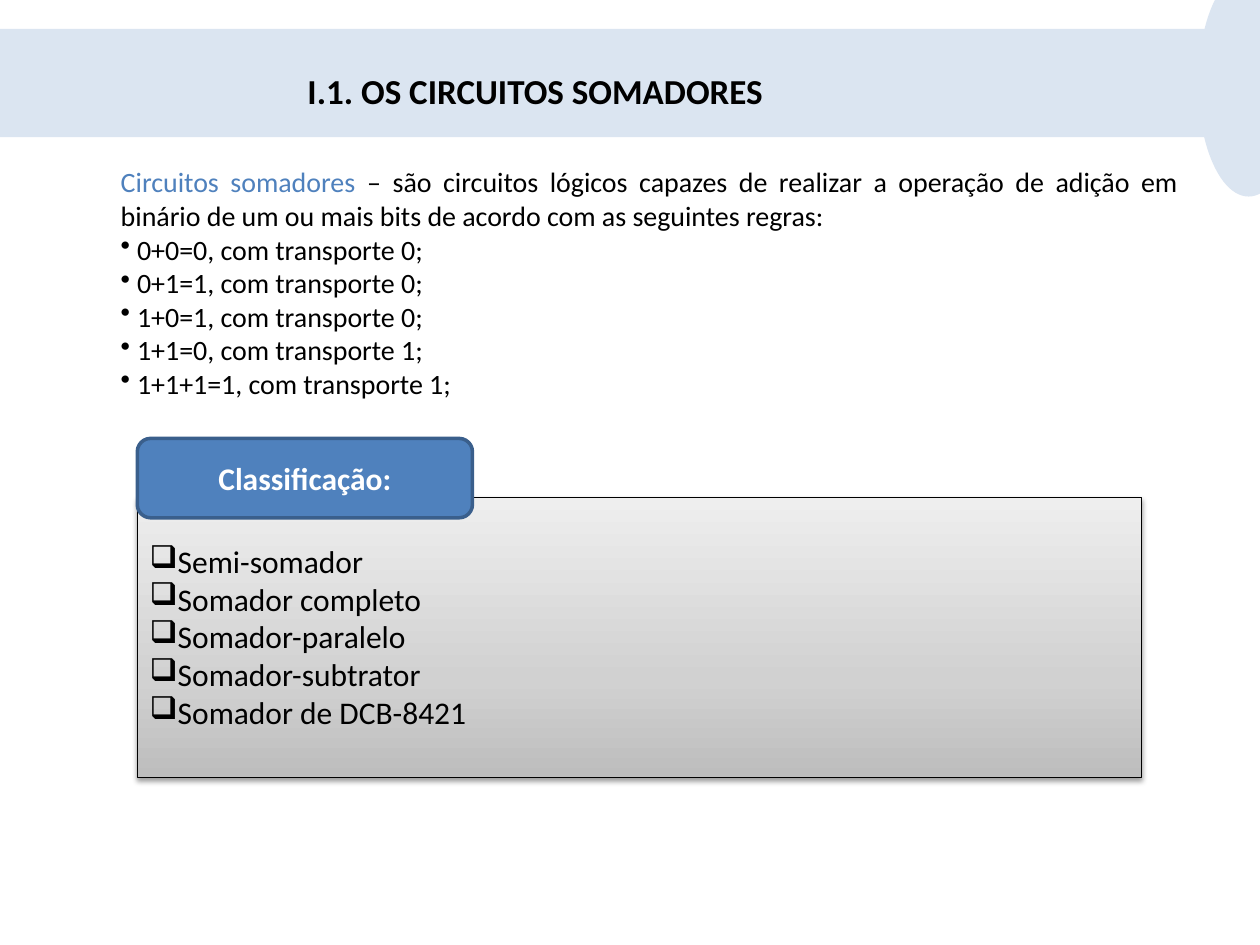
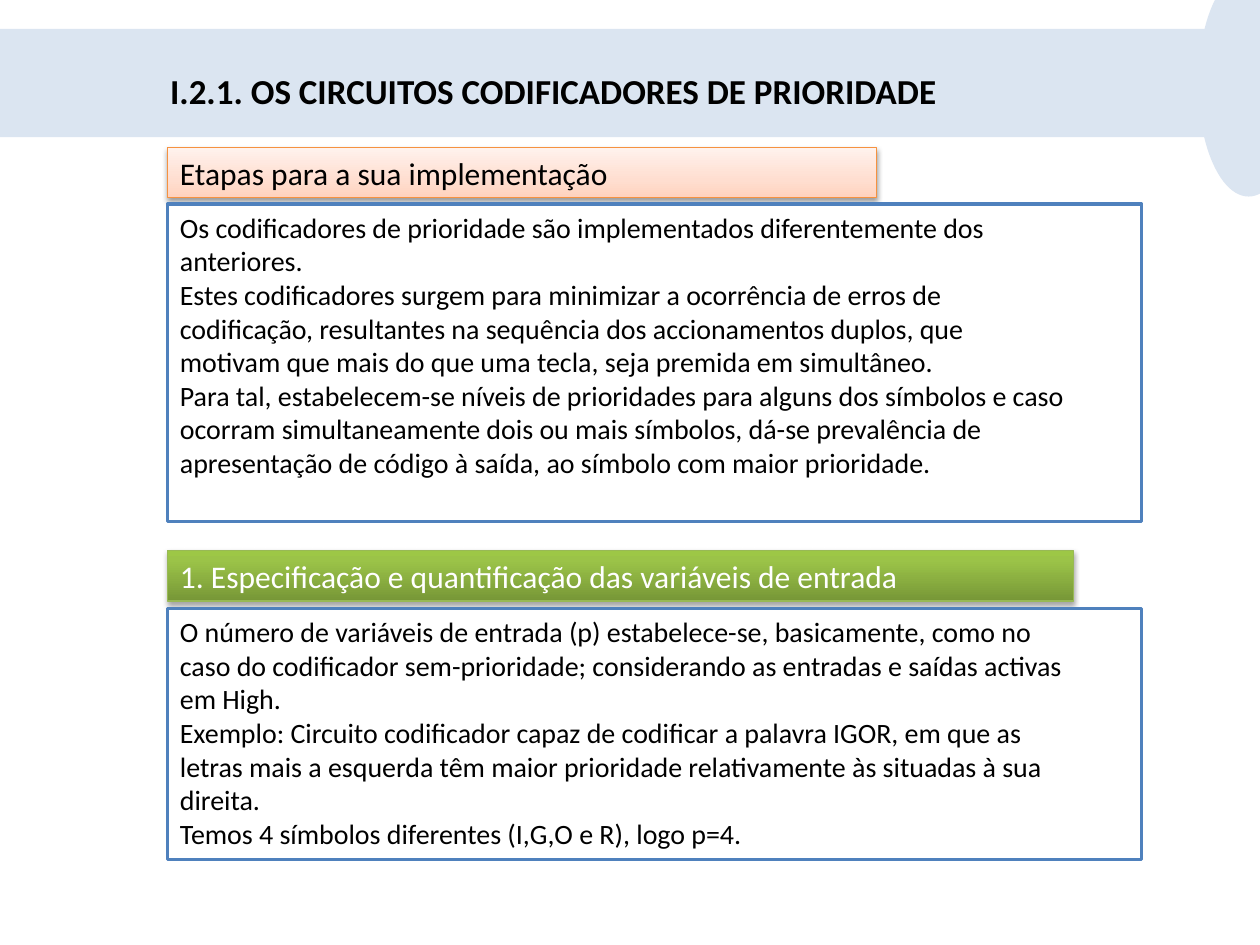
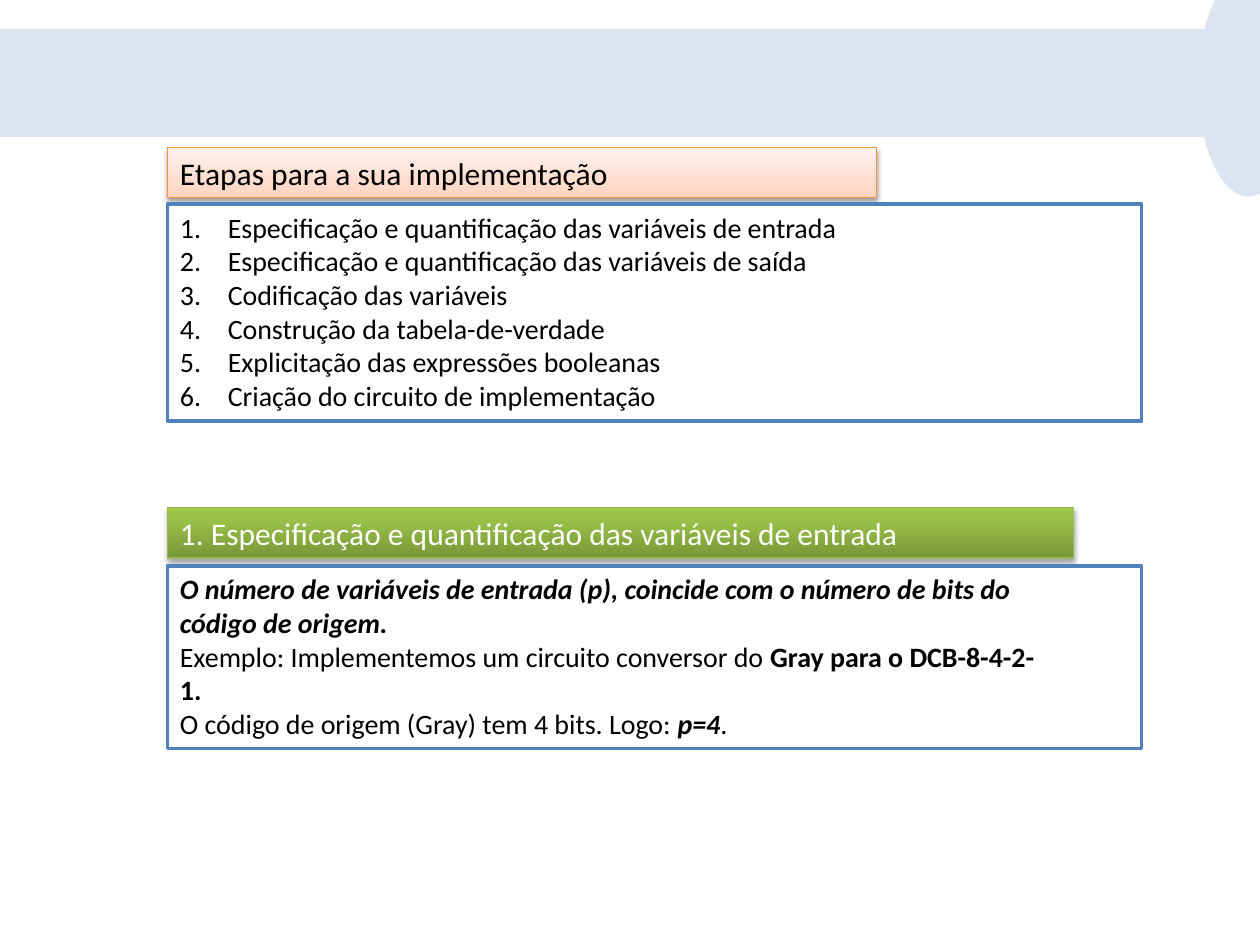
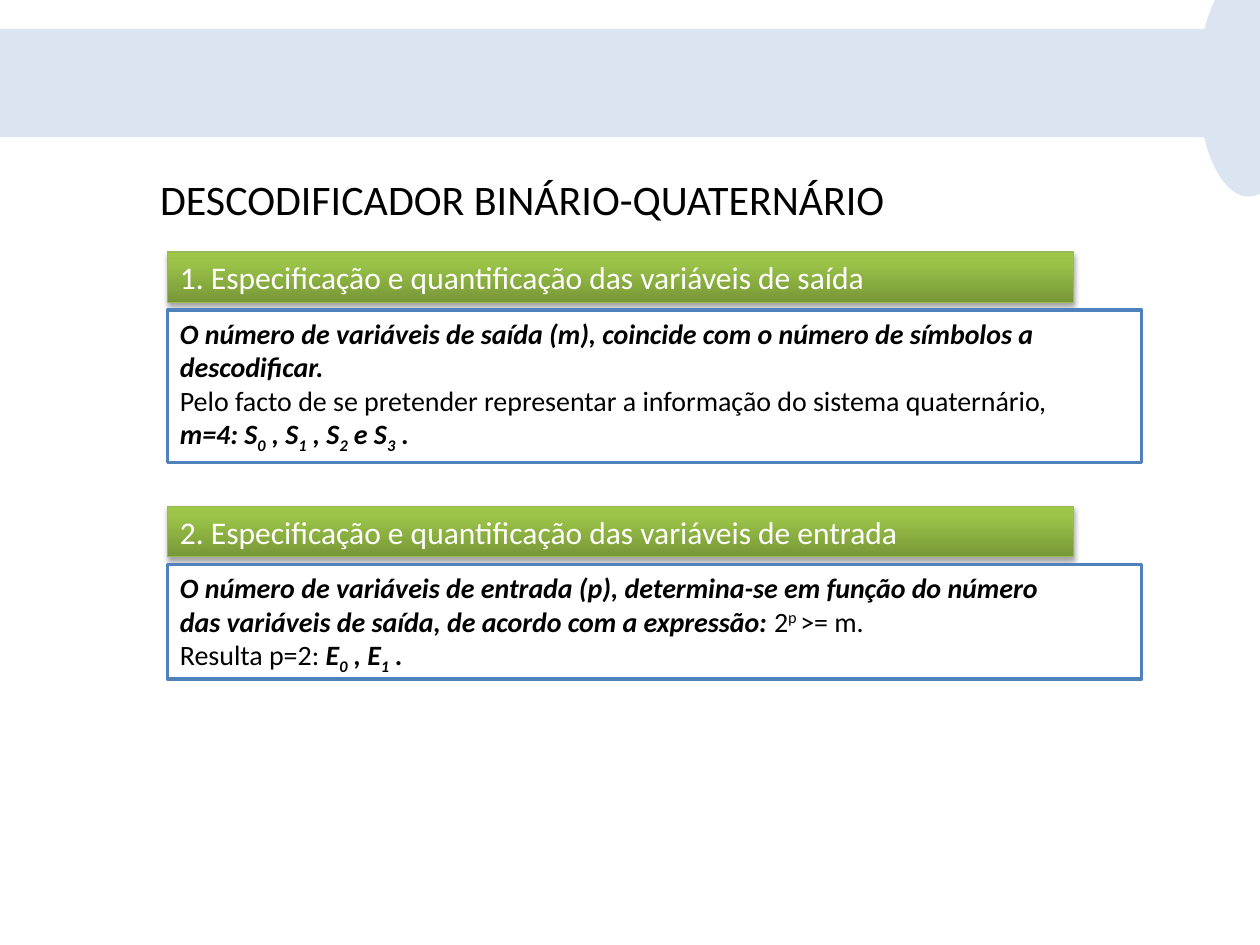
"""Builds four lecture slides on adder, encoder and decoder circuits."""
from dataclasses import dataclass
from typing import NamedTuple, Union

from lxml import etree
from pptx import Presentation
from pptx import util as u
from pptx.dml import color as c
from pptx.enum import shapes, text
from pptx.oxml import ns

COLORS = {
    "band": "DBE5F1", "blue": "4F81BD", "navy": "3A5F8C", "black": "000000",
    "white": "FFFFFF", "orange": "F69240", "green": "98B955",
}
FONT = "Calibri"
TITLE_ONLY, BLANK = 5, 6
HANG = 0.38
LEFT, PANEL_WIDTH = 1.33, 7.73
HEADER_HEIGHT, HEADER_STEP = 0.4, 0.46


class Frame(NamedTuple):
    """Position and size in inches."""
    left: float
    top: float
    width: float
    height: float

    def lengths(self) -> list:
        """Return the four measures as lengths."""
        return [u.Inches(value) for value in self]


class Span(NamedTuple):
    """A stretch of text with its own emphasis; baseline is in percent."""
    words: str
    bold: bool = False
    italic: bool = False
    baseline: int = 0


class Shadow(NamedTuple):
    """A shadow straight below: opacity in percent, blur and distance in points."""
    opacity: int
    blur: float
    distance: float


Line = Union[str, list[Span]]


@dataclass(frozen=True)
class Look:
    """How a box is filled, outlined and lettered."""
    fill: str = ""
    stops: tuple = ()
    line: str = ""
    line_width: float = 0.75
    shadow: Union[Shadow, None] = None
    size: int = 16
    color: str = "black"
    bold: bool = False
    align: text.PP_ALIGN = text.PP_ALIGN.LEFT
    anchor: text.MSO_ANCHOR = text.MSO_ANCHOR.TOP
    hang: float = 0
    bullet: str = ""
    margin_top: float = 0.05


JUSTIFY = text.PP_ALIGN.JUSTIFY
BAND = Look(fill="band")
TITLE = Look(size=20, bold=True)
SUBTITLE = Look(size=24)
INTRO = Look(align=JUSTIFY)
RULES = Look(align=JUSTIFY, hang=0.13, bullet="•")
KINDS = Look(stops=((0, "BDBDBD"), (35, "D1D1D1"), (100, "EEEEEE")), line="black",
             shadow=Shadow(38, 3.1, 1.6), size=18, hang=0.22, bullet="❑", margin_top=0.35)
TAG = Look(fill="blue", line="navy", line_width=2, size=18, color="white", bold=True,
           align=text.PP_ALIGN.CENTER, anchor=text.MSO_ANCHOR.MIDDLE)
STAGES = Look(stops=((0, "FFD2BD"), (35, "FFDED0"), (100, "FFF2ED")), line="orange",
              shadow=Shadow(38, 3.1, 1.6), size=18)
STEP = Look(stops=((0, "779737"), (80, "9BC348"), (100, "9DC746")), line="green",
            shadow=Shadow(35, 3.1, 1.8), size=18, color="white", hang=HANG)
PANEL = Look(fill="white", line="blue", line_width=2, align=JUSTIFY, hang=HANG)
NUMBERED = Look(fill="white", line="blue", line_width=2, hang=HANG, bullet="1.")


def rgb(name: str) -> c.RGBColor:
    """Look up a named colour."""
    return c.RGBColor.from_string(COLORS[name])


def add_xml(parent, tag: str, **attributes):
    """Append a drawing element with the given attributes."""
    values = {key: str(value) for key, value in attributes.items()}
    return etree.SubElement(parent, ns.qn(f"a:{tag}"), values)


def paint(box, look: Look) -> None:
    """Apply fill, outline and shadow to a shape."""
    if look.stops:
        box.fill.gradient()
        box.fill.gradient_angle = 90
        stop_list = box.element.spPr.find(".//" + ns.qn("a:gsLst"))
        for stop in list(stop_list):
            stop_list.remove(stop)
        for position, value in look.stops:
            add_xml(add_xml(stop_list, "gs", pos=position * 1000), "srgbClr", val=value)
    else:
        box.fill.solid()
        box.fill.fore_color.rgb = rgb(look.fill)
    if look.line:
        box.line.color.rgb = rgb(look.line)
        box.line.width = u.Pt(look.line_width)
    else:
        box.line.fill.background()
    box.shadow.inherit = False
    if look.shadow:
        effects = box.element.spPr.find(ns.qn("a:effectLst"))
        outer = add_xml(effects, "outerShdw", blurRad=u.Pt(look.shadow.blur),
                        dist=u.Pt(look.shadow.distance), dir=90 * 60000, rotWithShape=0)
        tone = add_xml(outer, "srgbClr", val=COLORS["black"])
        add_xml(tone, "alpha", val=look.shadow.opacity * 1000)


def format_paragraph(para, look: Look) -> None:
    """Set font, alignment, hanging indent and bullet of a paragraph."""
    para.alignment = look.align
    para.font.name = FONT
    para.font.size = u.Pt(look.size)
    para.font.bold = look.bold
    para.font.color.rgb = rgb(look.color)
    properties = para._p.get_or_add_pPr()
    if look.hang:
        properties.set("marL", str(u.Inches(look.hang)))
        properties.set("indent", str(-u.Inches(look.hang)))
    if look.bullet:
        if look.bullet == "1.":
            bullet = add_xml(properties, "buAutoNum", type="arabicPeriod")
        else:
            bullet = add_xml(properties, "buChar", char=look.bullet)
        properties.find(ns.qn("a:defRPr")).addprevious(bullet)


def add_spans(para, line: Line) -> None:
    """Write a line, plain or made of spans, into a paragraph."""
    if isinstance(line, str):
        para.add_run().text = line
        return
    for span in line:
        run = para.add_run()
        run.text = span.words
        run.font.bold, run.font.italic = span.bold, span.italic
        if span.baseline:
            run.font._element.set("baseline", str(span.baseline * 1000))


def write(box, lines: list[Line], look: Look) -> None:
    """Fill an empty text frame with formatted lines."""
    frame = box.text_frame
    frame.word_wrap = True
    frame.auto_size = text.MSO_AUTO_SIZE.NONE
    frame.vertical_anchor = look.anchor
    frame.margin_left = frame.margin_right = u.Inches(0.1)
    frame.margin_top, frame.margin_bottom = u.Inches(look.margin_top), u.Inches(0.05)
    append_lines(frame, lines, look)


def append_lines(frame, lines: list[Line], look: Look) -> None:
    """Add lines to a frame, using its first paragraph while it is empty."""
    for line in lines:
        first = frame.paragraphs[0]
        para = frame.add_paragraph() if first.runs else first
        format_paragraph(para, look)
        add_spans(para, line)
        if not isinstance(line, str) or look.size:
            for run in para.runs:
                run.font.name, run.font.size = FONT, u.Pt(look.size)
                run.font.color.rgb = rgb(look.color)
                if isinstance(line, str):
                    run.font.bold = look.bold


def add_box(page, frame: Frame, look: Look, lines: list[Line] = (),
            kind=shapes.MSO_SHAPE.RECTANGLE):
    """Draw a painted shape with optional text."""
    box = page.shapes.add_shape(kind, *frame.lengths())
    paint(box, look)
    if lines:
        write(box, lines, look)
    return box


def add_page(deck, title: str = "", frame: Frame = None, look: Look = TITLE):
    """Add a slide with the shared band and, if given, a title above it."""
    page = deck.slides.add_slide(deck.slide_layouts[TITLE_ONLY if title else BLANK])
    add_box(page, Frame(0, 0.23, 9.69, 0.86), BAND)
    disc = add_box(page, Frame(9.51, -0.23, 0.8, 1.79), BAND, kind=shapes.MSO_SHAPE.OVAL)
    if title:
        heading = page.shapes.title
        heading.left, heading.top, heading.width, heading.height = frame.lengths()
        write(heading, [title], look)
        disc.element.addnext(heading.element)
    return page


def add_stages(page, height: float, lines: list[Line], look: Look) -> None:
    """Draw the implementation stages header and its panel."""
    add_box(page, Frame(LEFT, 1.17, 5.63, HEADER_HEIGHT), STAGES,
            ["Etapas para a sua implementação"])
    add_box(page, Frame(LEFT, 1.62, PANEL_WIDTH, height), look, lines)


def add_step(page, top: float, header: str, height: float, lines: list[Line]) -> None:
    """Draw a green step header with its panel below."""
    add_box(page, Frame(LEFT, top, 7.19, HEADER_HEIGHT), STEP, [header])
    add_box(page, Frame(LEFT, top + HEADER_STEP, PANEL_WIDTH, height), PANEL, lines)


def strong(words: str, baseline: int = 0) -> Span:
    """Return a bold italic span."""
    return Span(words, True, True, baseline)


def indexed(letter: str, index: int) -> list[Span]:
    """Return a bold italic variable with its subscript."""
    return [strong(letter), strong(str(index), -25)]


def build_adders(deck) -> None:
    """Slide on adder circuits."""
    page = add_page(deck, "I.1. OS CIRCUITOS SOMADORES", Frame(2.34, 0.5, 5.23, 0.44))
    intro = page.shapes.add_textbox(*Frame(0.86, 1.26, 8.59, 3.2).lengths())
    write(intro, [[
        Span("Circuitos somadores "),
        Span("– são circuitos lógicos capazes de realizar a operação de adição em binário "
             "de um ou mais bits de acordo com as seguintes regras:"),
    ]], INTRO)
    intro.text_frame.paragraphs[0].runs[0].font.color.rgb = rgb("blue")
    sums = [("0+0=0", 0), ("0+1=1", 0), ("1+0=1", 0), ("1+1=0", 1), ("1+1+1=1", 1)]
    append_lines(intro.text_frame,
                 [f"{total}, com transporte {carry};" for total, carry in sums], RULES)
    add_box(page, Frame(1.09, 3.95, 7.97, 2.22), KINDS, [
        "Semi-somador", "Somador completo", "Somador-paralelo", "Somador-subtrator",
        "Somador de DCB-8421",
    ])
    add_box(page, Frame(1.09, 3.48, 2.66, 0.63), TAG, ["Classificação:"],
            shapes.MSO_SHAPE.ROUNDED_RECTANGLE)


def build_priority_encoders(deck) -> None:
    """Slide on priority encoders."""
    page = add_page(deck, "I.2.1. OS CIRCUITOS CODIFICADORES DE PRIORIDADE",
                    Frame(1.25, 0.5, 7.97, 0.44))
    add_stages(page, 2.52, [
        "Os codificadores de prioridade são implementados diferentemente dos",
        "anteriores.",
        "Estes codificadores surgem para minimizar a ocorrência de erros de",
        "codificação, resultantes na sequência dos accionamentos duplos, que",
        "motivam que mais do que uma tecla, seja premida em simultâneo.",
        "Para tal, estabelecem-se níveis de prioridades para alguns dos símbolos e caso",
        "ocorram simultaneamente dois ou mais símbolos, dá-se prevalência de",
        "apresentação de código à saída, ao símbolo com maior prioridade.",
    ], PANEL)
    add_step(page, 4.37, "1. Especificação e quantificação das variáveis de entrada", 1.99, [
        "O número de variáveis de entrada (p) estabelece-se, basicamente, como no",
        "caso do codificador sem-prioridade; considerando as entradas e saídas activas",
        "em High.",
        "Exemplo: Circuito codificador capaz de codificar a palavra IGOR, em que as",
        "letras mais a esquerda têm maior prioridade relativamente às situadas à sua",
        "direita.",
        "Temos 4 símbolos diferentes (I,G,O e R), logo p=4.",
    ])


def build_converters(deck) -> None:
    """Slide on the stages of a code converter."""
    page = add_page(deck)
    add_stages(page, 1.72, [
        "Especificação e quantificação das variáveis de entrada",
        "Especificação e quantificação das variáveis de saída",
        "Codificação das variáveis",
        "Construção da tabela-de-verdade",
        "Explicitação das expressões booleanas",
        "Criação do circuito de implementação",
    ], NUMBERED)
    add_step(page, 4.03, "1. Especificação e quantificação das variáveis de entrada", 1.45, [
        [strong("O número de variáveis de entrada (p), coincide com o número de bits do")],
        [strong("código de origem.")],
        [Span("Exemplo: Implementemos um circuito conversor do "),
         Span("Gray para o DCB-8-4-2-", bold=True)],
        [Span("1.", bold=True)],
        [Span("O código de origem (Gray) tem 4 bits. Logo: "), strong("p=4"), Span(".")],
    ])


def build_decoder(deck) -> None:
    """Slide on the binary to quaternary decoder."""
    page = add_page(deck, "DESCODIFICADOR BINÁRIO-QUATERNÁRIO",
                    Frame(1.17, 1.33, 6, 0.5), SUBTITLE)
    page.shapes.title.text_frame.word_wrap = False
    add_step(page, 2, "1. Especificação e quantificação das variáveis de saída", 1.21, [
        [strong("O número de variáveis de saída (m), coincide com o número de símbolos a")],
        [strong("descodificar.")],
        "Pelo facto de se pretender representar a informação do sistema quaternário,",
        [*indexed("m=4: S", 0), *indexed(" , S", 1), *indexed(" , S", 2),
         *indexed(" e S", 3), strong(" .")],
    ])
    add_step(page, 4.02, "2. Especificação e quantificação das variáveis de entrada", 0.91, [
        [strong("O número de variáveis de entrada (p), determina-se em função do número")],
        [strong("das variáveis de saída, de acordo com a expressão: "),
         Span("2"), Span("p ", baseline=30), Span(">= m.")],
        [Span("Resulta p=2: "), *indexed("E", 0), *indexed(" , E", 1), strong(" .")],
    ])


def main() -> None:
    """Build and save the deck."""
    deck = Presentation()
    deck.slide_width, deck.slide_height = u.Inches(10), u.Inches(7.5)
    for build in (build_adders, build_priority_encoders, build_converters, build_decoder):
        build(deck)
    deck.save("out.pptx")


if __name__ == "__main__":
    main()
